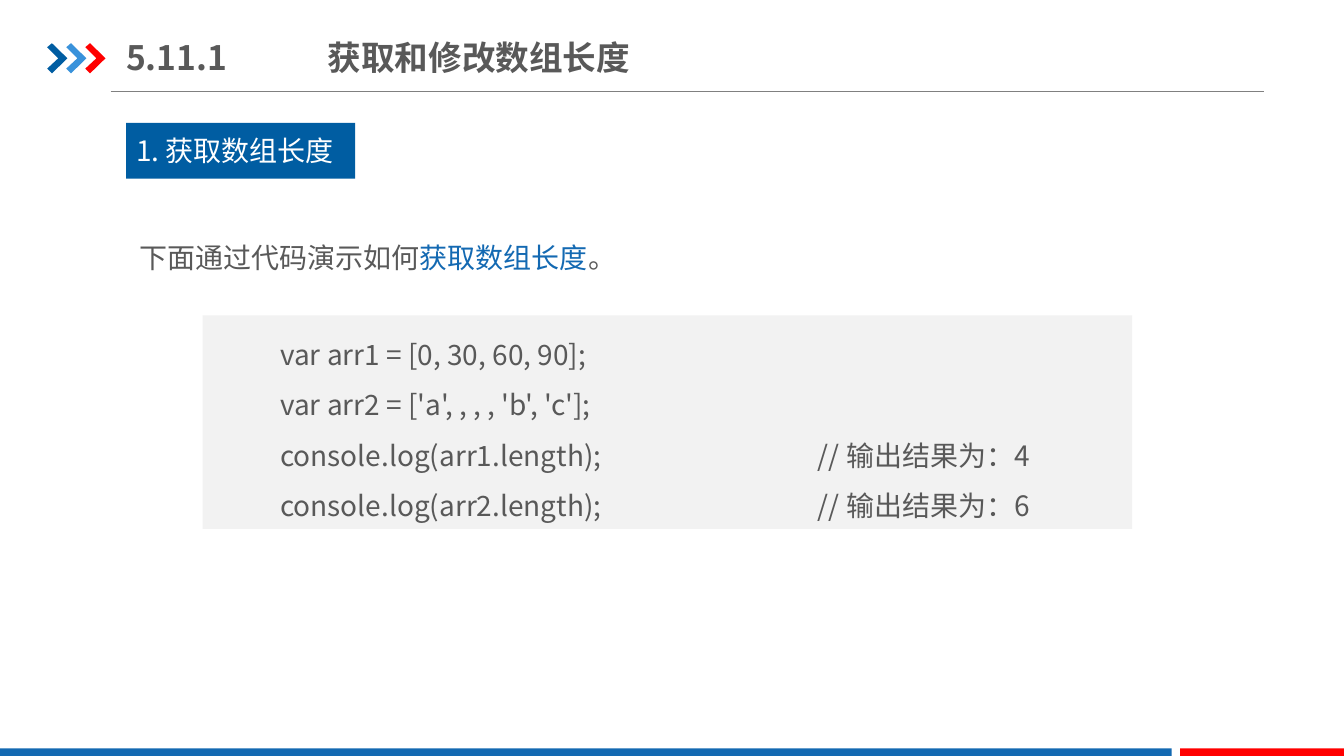
from lxml.etree import SubElement
from pptx import Presentation
from pptx.dml.color import RGBColor
from pptx.enum.shapes import MSO_CONNECTOR, MSO_SHAPE
from pptx.enum.text import MSO_ANCHOR, MSO_AUTO_SIZE, PP_ALIGN
from pptx.oxml.ns import qn
from pptx.util import Cm, Pt

FONT = "Noto Sans CJK SC"
NAVY, BLUE, SKY, RED = "005DA2", "1369B2", "3992DB", "FF0000"
GREY, PALE, WHITE = "595959", "F2F2F2", "FFFFFF"

CHEVRON = [(0, 1.19), (0.12, 1.09), (0.51, 1.47),
           (0.12, 1.85), (0, 1.73), (0.28, 1.47)]
CODE = [
    "var arr1 = [0, 30, 60, 90];",
    "var arr2 = ['a', , , , 'b', 'c'];",
    "console.log(arr1.length);\t\t// 输出结果为：4",
    "console.log(arr2.length);\t\t// 输出结果为：6",
]


def color(hex_string):
    return RGBColor.from_string(hex_string)


def paint(shape, fill):
    shape.shadow.inherit = False
    shape.fill.solid()
    shape.fill.fore_color.rgb = color(fill)
    shape.line.fill.background()


def add_block(slide, left, top, width, height, fill):
    block = slide.shapes.add_shape(
        MSO_SHAPE.RECTANGLE, Cm(left), Cm(top), Cm(width), Cm(height))
    paint(block, fill)
    return block


def add_chevron(slide, left, fill):
    corners = [(Cm(left + x), Cm(y)) for x, y in CHEVRON]
    builder = slide.shapes.build_freeform(*corners[0])
    builder.add_line_segments(corners[1:], close=True)
    paint(builder.convert_to_shape(), fill)


def add_rule(slide, left, right, y):
    rule = slide.shapes.add_connector(
        MSO_CONNECTOR.STRAIGHT, Cm(left), Cm(y), Cm(right), Cm(y))
    rule.line.color.rgb = color("808080")
    rule.line.width = Pt(0.75)
    SubElement(rule._element.spPr, qn("a:effectLst"))


def set_frame(frame, anchor, side=0.25, edge=0.13):
    frame.word_wrap = True
    frame.auto_size = MSO_AUTO_SIZE.NONE
    frame.vertical_anchor = anchor
    frame.margin_left = frame.margin_right = Cm(side)
    frame.margin_top = frame.margin_bottom = Cm(edge)


def add_tabs(paragraph, stops):
    tabs = SubElement(paragraph._p.get_or_add_pPr(), qn("a:tabLst"))
    for stop in stops:
        SubElement(tabs, qn("a:tab"), pos=str(Cm(stop)), algn="l")


def write(paragraph, runs, size=20, bold=False, spacing=None):
    paragraph.alignment = PP_ALIGN.LEFT
    if spacing:
        paragraph.line_spacing = Pt(spacing)
    for text, tint in runs:
        run = paragraph.add_run()
        run.text = text
        run.font.size = Pt(size)
        run.font.bold = bold
        run.font.name = FONT
        run.font.color.rgb = color(tint)
        SubElement(run._r.get_or_add_rPr(), qn("a:ea"), typeface=FONT)


def add_title(slide):
    title = slide.shapes.title
    title.left, title.top = Cm(3.18), Cm(0.74)
    title.width, title.height = Cm(13.36), Cm(1.4)
    set_frame(title.text_frame, MSO_ANCHOR.MIDDLE, side=0, edge=0.18)
    heading = title.text_frame.paragraphs[0]
    add_tabs(heading, [5.08])
    write(heading, [("5.11.1\t获取和修改数组长度", GREY)], size=24, bold=True)


def add_section_label(slide):
    label = add_block(slide, 3.18, 3.1, 5.77, 1.4, NAVY)
    set_frame(label.text_frame, MSO_ANCHOR.MIDDLE)
    write(label.text_frame.paragraphs[0], [("1. 获取数组长度", WHITE)])


def add_intro(slide):
    intro = slide.shapes.add_textbox(Cm(3.18), Cm(5.46), Cm(23.65), Cm(1.47))
    set_frame(intro.text_frame, MSO_ANCHOR.TOP, side=0.33, edge=0.18)
    write(intro.text_frame.paragraphs[0],
          [("下面通过代码演示如何", GREY), ("获取数组长度", BLUE), ("。", GREY)],
          spacing=36)


def add_code(slide):
    listing = add_block(slide, 5.11, 7.95, 23.42, 5.38, PALE)
    frame = listing.text_frame
    set_frame(frame, MSO_ANCHOR.TOP)
    frame.margin_left = Cm(1.95)
    for number, code_line in enumerate(CODE):
        paragraph = frame.add_paragraph() if number else frame.paragraphs[0]
        add_tabs(paragraph, [8.47, 13.55])
        write(paragraph, [(code_line, GREY)], spacing=36)


def main():
    deck = Presentation()
    deck.slide_width, deck.slide_height = Cm(33.87), Cm(19.05)
    slide = deck.slides.add_slide(deck.slide_layouts[5])

    # Header and footer decoration
    add_rule(slide, 2.79, 31.85, 2.31)
    for step, fill in enumerate([NAVY, SKY, RED]):
        add_chevron(slide, 1.19 + 0.48 * step, fill)
    add_block(slide, 0, 18.86, 29.53, 0.19, BLUE)
    add_block(slide, 29.74, 18.86, 4.13, 0.19, RED)

    # Content
    add_title(slide)
    add_section_label(slide)
    add_intro(slide)
    add_code(slide)
    deck.save("out.pptx")


if __name__ == "__main__":
    main()
